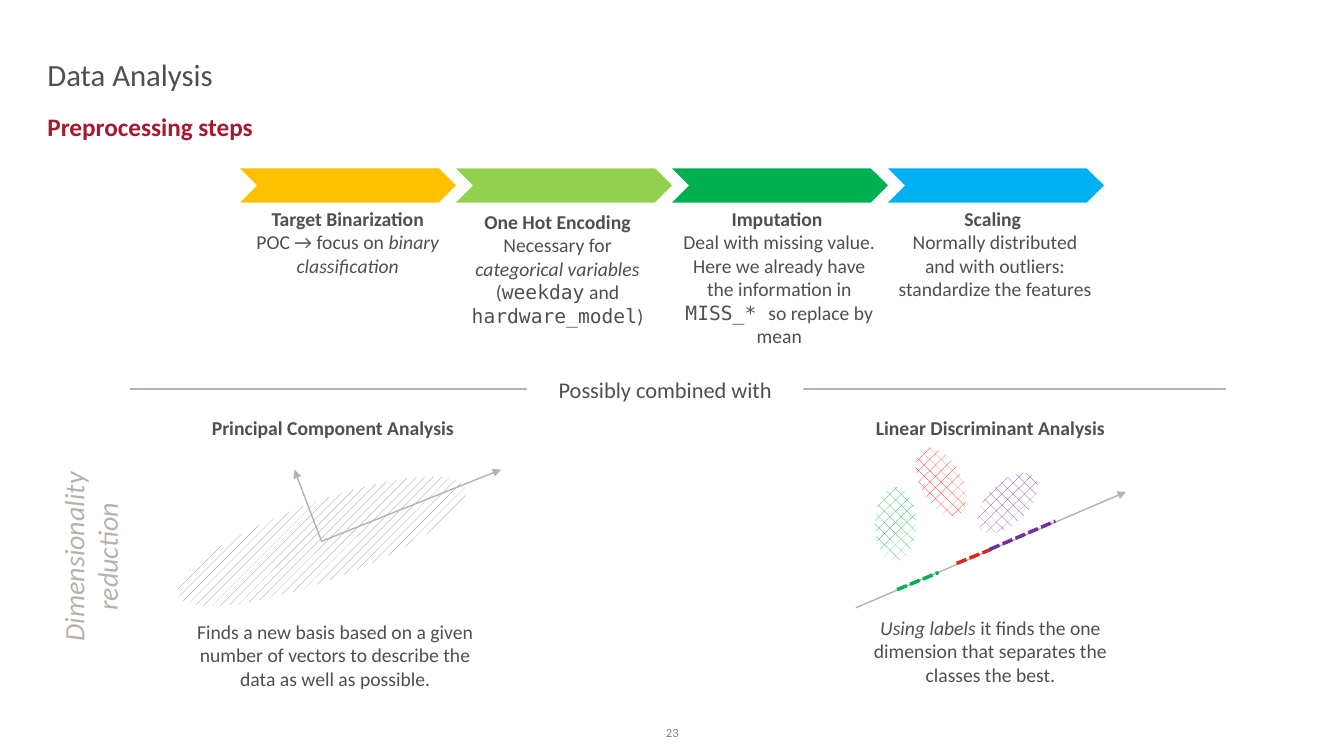
from lxml import etree
from pptx import Presentation
from pptx.dml.color import RGBColor
from pptx.enum.dml import MSO_LINE, MSO_PATTERN
from pptx.enum.shapes import MSO_CONNECTOR, MSO_SHAPE
from pptx.enum.text import MSO_ANCHOR, MSO_AUTO_SIZE, PP_ALIGN
from pptx.oxml.ns import qn
from pptx.util import Inches, Pt

LEFT, CENTER = PP_ALIGN.LEFT, PP_ALIGN.CENTER
TOP, BOTTOM = MSO_ANCHOR.TOP, MSO_ANCHOR.BOTTOM
GROW, FIXED = MSO_AUTO_SIZE.SHAPE_TO_FIT_TEXT, MSO_AUTO_SIZE.NONE
SPARSE, DENSE = MSO_PATTERN.PERCENT_20, MSO_PATTERN.PERCENT_25
DASHED = MSO_LINE.SQUARE_DOT
STRAIGHT = MSO_CONNECTOR.STRAIGHT
CHEVRON, ELLIPSE = MSO_SHAPE.CHEVRON, MSO_SHAPE.OVAL
COLORS = {
    "text": "4D4F53", "accent": "A71930", "brown": "8D817B", "grey": "B7B1A9",
    "white": "FFFFFF", "amber": "FFC000", "lime": "92D050", "green": "00B050",
    "sky": "00B0F0", "red": "FF0000", "brick": "D52B1E", "purple": "7030A0",
}
RGB = {name: RGBColor.from_string(value) for name, value in COLORS.items()}
FORMATS = {
    "": {},
    "b": {"bold": True},
    "i": {"italic": True},
    "m": {"name": "DejaVu Sans Mono"},
}

prs = Presentation()
prs.slide_width, prs.slide_height = Inches(13.33), Inches(7.5)
COL, ROW = prs.slide_width / 100, prs.slide_height / 100
s = prs.slides.add_slide(prs.slide_layouts[6])


def add_text(box, paragraphs, size=14, color="text", align=CENTER, anchor=TOP, inset=True):
    x, y, w, h = box
    sp = s.shapes.add_textbox(int(x * COL), int(y * ROW), int(w * COL), int(h * ROW))
    tf = sp.text_frame
    frame = {"word_wrap": True, "vertical_anchor": anchor, "auto_size": GROW if inset else FIXED}
    if not inset:
        frame.update(margin_left=0, margin_right=0, margin_top=0, margin_bottom=0)
    for key, value in frame.items():
        setattr(tf, key, value)
    for n, runs in enumerate(paragraphs):
        p = tf.add_paragraph() if n else tf.paragraphs[0]
        p.alignment = align
        for words, style in runs:
            r = p.add_run()
            r.text = words
            r.font.color.rgb = RGB[color]
            for key, value in {"name": "Calibri", "size": Pt(size), **FORMATS[style]}.items():
                setattr(r.font, key, value)
    return sp


def add_line(x1, y1, x2, y2, color="grey", width=1, dash=None, arrow=False):
    c = s.shapes.add_connector(STRAIGHT, int(x1 * COL), int(y1 * ROW), int(x2 * COL), int(y2 * ROW))
    c.line.color.rgb = RGB[color]
    c.line.width = Pt(width)
    if dash:
        c.line.dash_style = dash
    if arrow:
        etree.SubElement(c.line._get_or_add_ln(), qn("a:tailEnd"), type="triangle")
    etree.SubElement(c._element.spPr, qn("a:effectLst"))


add_text((47.78, 94.8, 4.5, 3.07), [[("23", "")]], 9, "brown", anchor=BOTTOM, inset=False)
add_text((3.53, 14.67, 92.93, 4.93), [[("Preprocessing steps", "b")]], 18, "accent", LEFT, inset=False)
add_text((3.53, 2.8, 92.93, 9.47), [[("Data Analysis", "")]], 22, "text", LEFT, BOTTOM, False)

STEP = 16.07
steps = [
    ("amber", (16.5, 26.67, 18.75, 10.8), [
        [("Target Binarization", "b")],
        [("POC → focus on ", ""), ("binary classification", "i")]]),
    ("lime", (33.45, 27.07, STEP, 17.07), [
        [("One Hot Encoding", "b")],
        [("Necessary for ", ""), ("categorical variables ", "i"), ("(", ""), ("weekday", "m"), (" and", "")],
        [("hardware_model", "m"), (")", "")]]),
    ("green", (49.95, 26.67, STEP, 20.13), [
        [("Imputation ", "b")],
        [("Deal with missing value. Here we already have the information in ", ""),
         ("MISS_* ", "m"), ("so replace by mean", "")]]),
    ("sky", (66, 26.67, STEP, 13.87), [
        [("Scaling ", "b")],
        [("Normally distributed and with outliers: standardize the features ", "")]]),
]
for n, (color, box, paragraphs) in enumerate(steps):
    sp = s.shapes.add_shape(CHEVRON, int((17.86 + n * STEP) * COL), int(22.27 * ROW),
                            int(STEP * COL), int(4.53 * ROW))
    sp.shadow.inherit = False
    sp.fill.solid()
    sp.fill.fore_color.rgb = RGB[color]
    sp.line.fill.background()
    add_text(box, paragraphs)

add_line(9.68, 51.47, 91.2, 51.47)
sp = add_text((39.23, 49.07, 20.55, 4.93), [[("Possibly combined with", "")]], 16)
sp.fill.solid()
sp.fill.fore_color.rgb = RGB["white"]

clouds = [
    (12.53, 66.4, 22.8, 10.4, 339.7, SPARSE, "brown"),
    (65.1, 64.4, 3.08, 9.87, 0, DENSE, "green"),
    (68.48, 58.8, 3.08, 9.87, 331.7, DENSE, "red"),
    (73.43, 61.6, 3.08, 9.87, 44.8, DENSE, "purple"),
]
for x, y, w, h, angle, pattern, color in clouds:
    sp = s.shapes.add_shape(ELLIPSE, int(x * COL), int(y * ROW), int(w * COL), int(h * ROW))
    sp.rotation = angle
    sp.shadow.inherit = False
    sp.fill.patterned()
    sp.fill.pattern = pattern
    sp.fill.fore_color.rgb = RGB[color]
    sp.fill.back_color.rgb = RGB["white"]
    sp.line.fill.background()

axes = [(23.93, 71.6, 37.28, 62.13), (23.93, 71.6, 21.9, 62.13), (63.68, 80.4, 83.78, 65.07)]
for ends in axes:
    add_line(*ends, arrow=True)

projections = [
    ((66.75, 78, 69.83, 75.73), "green"),
    ((71.18, 74.53, 73.73, 72.67), "brick"),
    ((73.65, 72.67, 78.53, 68.93), "purple"),
]
for ends, color in projections:
    add_line(*ends, color, 2.5, DASHED)

methods = [
    (12.83, "Principal Component Analysis ", 81.33,
     [("Finds a new basis based on a given number of vectors to describe the data as well as possible.", "")]),
    (61.58, "Linear Discriminant Analysis", 80.8,
     [("Using labels", "i"), (" it finds the one dimension that separates the classes the best.", "")]),
]
for x, heading, y, runs in methods:
    add_text((x, 54.4, 24.23, 4.53), [[(heading, "b")]])
    add_text((x + 0.79, y, 22.65, 10.8), [runs])

sp = add_text((-4.43, 68.53, 22.28, 10.27), [[("Dimensionality reduction", "i")]], 20, "grey")
sp.rotation = 270

prs.save("out.pptx")
